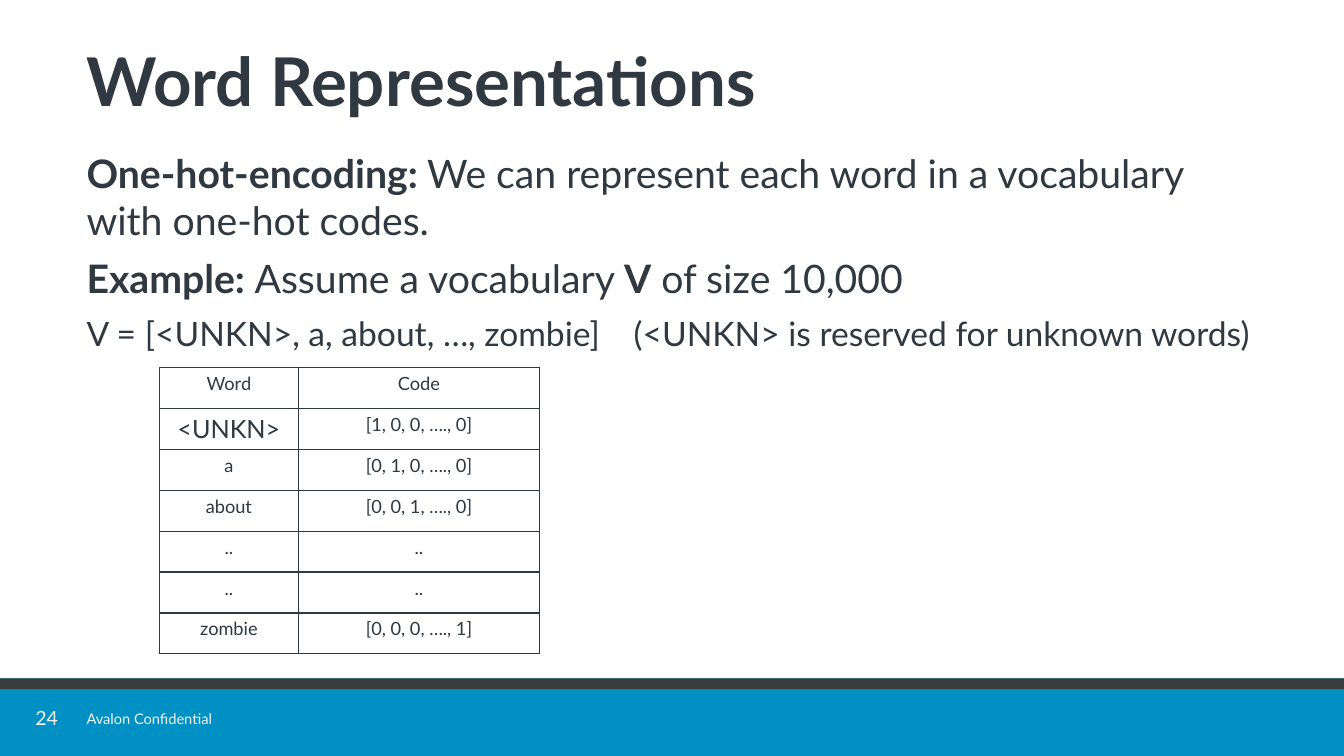
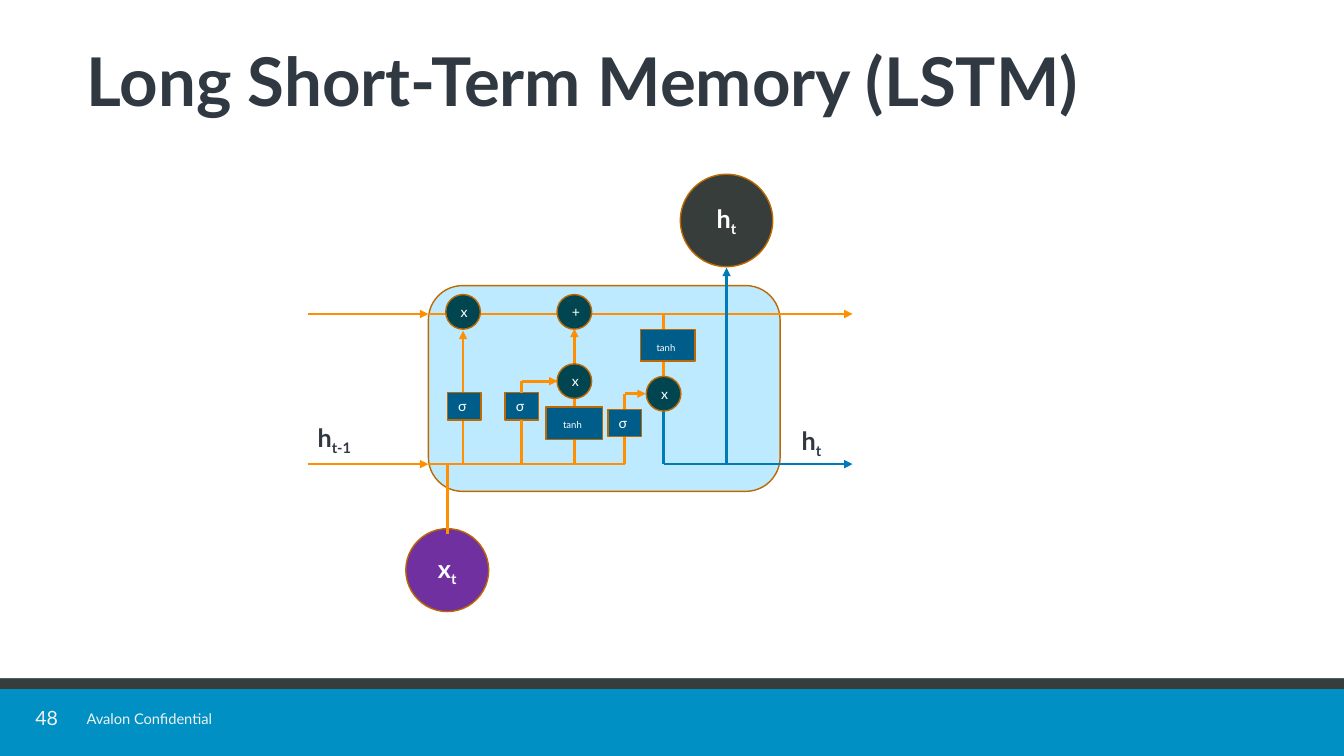
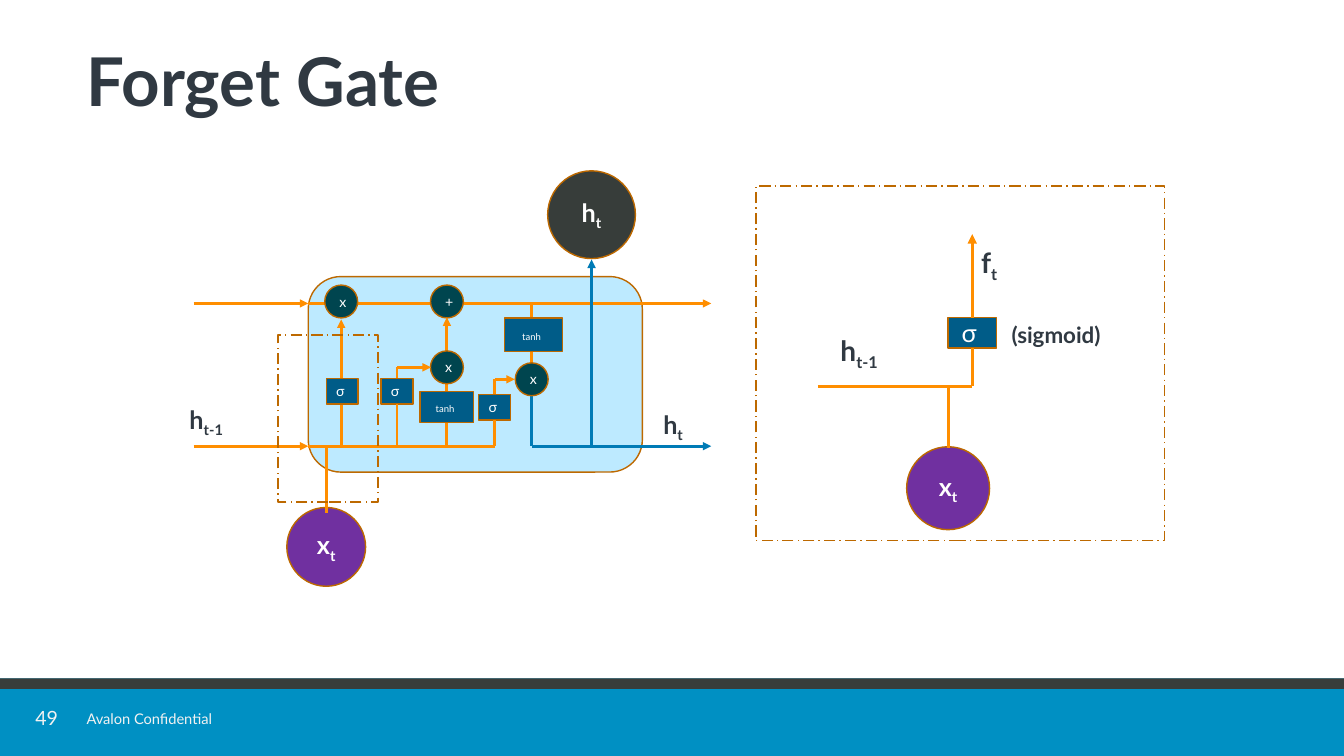
from lxml import etree
from pptx import Presentation
from pptx.dml.color import RGBColor
from pptx.enum.dml import MSO_LINE
from pptx.enum.shapes import MSO_CONNECTOR, MSO_SHAPE as SHAPE
from pptx.enum.text import MSO_ANCHOR as ANCHOR, PP_ALIGN as ALIGN
from pptx.oxml.ns import qn
from pptx.util import Emu, Pt

EMU_PER_PX = 9525
WIDTH, HEIGHT = 1280, 720
FONT = "Lato"
FOOTER = "Avalon Confidential"

INK = RGBColor(0x30, 0x39, 0x42)
WHITE = RGBColor(0xFF, 0xFF, 0xFF)
PALE = RGBColor(0xF2, 0xF2, 0xF2)
BAND_BLUE = RGBColor(0x00, 0x90, 0xC3)
BAND_DARK = RGBColor(0x38, 0x3D, 0x3B)
CELL_BLUE = RGBColor(0xBD, 0xEA, 0xFF)
OUTLINE = RGBColor(0xBD, 0x69, 0x00)
ORANGE = RGBColor(0xFF, 0x8E, 0x00)
BLUE = RGBColor(0x00, 0x7B, 0xB6)
GATE_BLUE = RGBColor(0x00, 0x5C, 0x88)
TEAL = RGBColor(0x00, 0x45, 0x4F)
PURPLE = RGBColor(0x70, 0x30, 0xA0)
CHARCOAL = RGBColor(0x37, 0x3D, 0x3A)


def px(value):
    return Emu(round(value * EMU_PER_PX))


def sub(base, index, size=18):
    """Runs for a bold letter with a subscript."""
    return [(base, {"size": size, "bold": True}),
            (index, {"size": size, "bold": True, "baseline": -25000})]


SIGMA = [("σ ", {"size": 10.1})]
TANH = [("tanh", {"size": 6.8}), (" ", {"size": 10.1})]


class Deck:
    def __init__(self):
        self.prs = Presentation()
        self.prs.slide_width, self.prs.slide_height = px(WIDTH), px(HEIGHT)
        self.frame()

    def frame(self, dx=0, dy=0, scale=1):
        """Shift and scale everything placed from here on."""
        self.dx, self.dy, self.scale = dx, dy, scale

    def point(self, x, y):
        return px(self.dx + self.scale * x), px(self.dy + self.scale * y)

    def box(self, x, y, w, h):
        return *self.point(x, y), px(self.scale * w), px(self.scale * h)

    def slide(self, title, number):
        self.frame()
        self.s = self.prs.slides.add_slide(self.prs.slide_layouts[6])
        self.shape(SHAPE.RECTANGLE, (0, 646, WIDTH, 74), BAND_BLUE, outline=None)
        self.shape(SHAPE.RECTANGLE, (0, 646, WIDTH, 10), BAND_DARK, outline=None)
        tf = self.text((32, 674, 25, 22), [[(str(number), {"size": 14})]], color=PALE,
                       anchor=ANCHOR.MIDDLE, align=ALIGN.CENTER, line_spacing=0.9)
        tf.margin_left = tf.margin_right = tf.margin_top = tf.margin_bottom = 0
        self.text((73, 671, 154, 27), [[(FOOTER, {"size": 10.5})]], color=PALE, wrap=False)
        self.text((73, 31, 1143, 104), [[(title, {"size": 48, "bold": True})]],
                  anchor=ANCHOR.MIDDLE, line_spacing=0.8)

    def runs(self, p, runs, color):
        for text, fmt in runs:
            r = p.add_run()
            r.text = text
            r.font.name = FONT
            r.font.color.rgb = color
            for key, value in fmt.items():
                if key == "baseline":
                    r._r.get_or_add_rPr().set(key, str(value))
                else:
                    setattr(r.font, key, Pt(value) if key == "size" else value)

    def text(self, box, paragraphs, color=INK, anchor=ANCHOR.TOP, wrap=True,
             gap=0, **fmt):
        tf = self.s.shapes.add_textbox(*self.box(*box)).text_frame
        tf.word_wrap, tf.vertical_anchor = wrap, anchor
        for i, runs in enumerate(paragraphs):
            p = tf.add_paragraph() if i else tf.paragraphs[0]
            if i:
                p.space_before = Pt(gap)
            for key, value in {"align": "alignment"}.items():
                if key in fmt:
                    setattr(p, value, fmt[key])
            if "line_spacing" in fmt:
                p.line_spacing = fmt["line_spacing"]
            self.runs(p, runs, color)
        return tf

    def shape(self, kind, box, fill=None, runs=(), outline=OUTLINE, dash=None):
        sp = self.s.shapes.add_shape(kind, *self.box(*box))
        sp.shadow.inherit = False
        if fill is None:
            sp.fill.background()
        else:
            sp.fill.solid()
            sp.fill.fore_color.rgb = fill
        if outline is None:
            sp.line.fill.background()
        else:
            sp.line.color.rgb = outline
            sp.line.width = Pt(1)
            if dash:
                sp.line.dash_style = dash
        tf = sp.text_frame
        tf.vertical_anchor = ANCHOR.MIDDLE
        tf.paragraphs[0].alignment = ALIGN.CENTER
        self.runs(tf.paragraphs[0], runs, WHITE)
        return sp

    def node(self, cx, cy, size, fill, runs):
        """Circle placed by its centre."""
        return self.shape(SHAPE.OVAL, (cx - size / 2, cy - size / 2, size, size), fill, runs)

    def operator(self, cx, cy, sign):
        return self.node(cx, cy, 33, TEAL, [(sign, {"size": 10.1})])

    def gate(self, cx, cy, runs=SIGMA, w=32, h=26):
        return self.shape(SHAPE.RECTANGLE, (cx - w / 2, cy - h / 2, w, h), GATE_BLUE, runs)

    def line(self, start, end, color=ORANGE, arrow=False, width=2):
        """Each end is a point (x, y) or a joint (shape, site)."""
        joints = [not isinstance(e[0], (int, float)) for e in (start, end)]
        places = [(0, 0) if j else self.point(*e) for j, e in zip(joints, (start, end))]
        c = self.s.shapes.add_connector(MSO_CONNECTOR.STRAIGHT, *places[0], *places[1])
        if joints[0]:
            c.begin_connect(*start)
        if joints[1]:
            c.end_connect(*end)
        c.line.color.rgb = color
        c.line.width = Pt(width)
        if arrow:
            etree.SubElement(c.line._get_or_add_ln(), qn("a:tailEnd"), type="triangle")
        etree.SubElement(c._element.spPr, qn("a:effectLst"))

    def table(self, x, y, col_widths, row_height, rows):
        """Ruled table; each cell is (text, size)."""
        t = self.s.shapes.add_table(len(rows), len(col_widths), *self.box(
            x, y, sum(col_widths), row_height * len(rows))).table
        t.first_row = t.horz_banding = False
        for column, width in zip(t.columns, col_widths):
            column.width = px(width)
        for i, row in enumerate(rows):
            t.rows[i].height = px(row_height)
            for j, (text, size) in enumerate(row):
                cell = t.cell(i, j)
                tc_pr = cell._tc.get_or_add_tcPr()
                for side in ("lnL", "lnR", "lnT", "lnB"):
                    ln = etree.SubElement(tc_pr, qn(f"a:{side}"), w=str(Pt(1)))
                    fill = etree.SubElement(ln, qn("a:solidFill"))
                    etree.SubElement(fill, qn("a:srgbClr"), val=str(INK))
                cell.fill.background()
                p = cell.text_frame.paragraphs[0]
                p.alignment = ALIGN.CENTER
                self.runs(p, [(text, {"size": size})], INK)

    def lstm(self):
        """LSTM cell without its output tanh and its input label."""
        top, bottom, left, right = 299, 442, 293, 812
        forget, update, candidate, output, hidden = 441, 497, 547, 632, 692
        output_gate = 595

        self.shape(SHAPE.ROUNDED_RECTANGLE, (408, 272, 335, 196), CELL_BLUE)
        for y in (top, bottom):
            self.line((left, y), (408, y), arrow=True)
        self.line((408, top), (right, top), arrow=True)
        self.node(426, 543, 79, PURPLE, sub("x", "t"))
        self.line((426, 509), (426, bottom))
        self.node(hidden, 210, 88, CHARCOAL, sub("h", "t"))
        self.line((408, bottom), (output_gate, bottom))

        self.operator(forget, 297, "x")
        self.operator(candidate, 297, "+")
        self.line((forget, bottom), (forget, 315), arrow=True)
        self.line((candidate, bottom), (candidate, 313), arrow=True)
        self.gate(forget + 1, 387)
        self.operator(candidate, 363, "x")
        self.gate(candidate, 403, TANH, 54, 31)

        for x, gate_y, turn_y, tip in ((update, 387, 363, 531), (output_gate, 403, 375, 615)):
            gate = self.gate(x, gate_y)
            self.line((x, bottom), (gate, 2))
            self.line((gate, 0), (x, turn_y))
            self.line((x, turn_y), (tip, turn_y), arrow=True)

        self.line((output, bottom), (right, bottom), BLUE, arrow=True)
        self.line((hidden, bottom), (hidden, 255), BLUE, arrow=True)
        self.line((output, bottom), (output, 391), BLUE)
        self.line((output, 361), (output, top))
        self.operator(output, 375, "x")
        self.text((754, 400, 62, 45), [sub("h", "t")])


def word_representations(deck):
    deck.slide("Word Representations", 24)
    bold, plain = {"size": 28, "bold": True}, {"size": 28}
    tf = deck.text((73, 137, 1142, 483), [
        [("One-hot-encoding: ", bold),
         ("We can represent each word in a vocabulary with one-hot codes.", plain)],
        [("Example: ", bold), ("Assume a vocabulary ", plain), ("V", bold),
         (" of size 10,000", plain)],
        [("V = [<UNKN>, a, about, …, zombie]\t(<UNKN> is reserved for unknown words)",
          {"size": 24})],
    ], gap=8)
    tabs = etree.SubElement(tf.paragraphs[2]._p.get_or_add_pPr(), qn("a:tabLst"))
    etree.SubElement(tabs, qn("a:tab"), pos=str(px(521)), algn="l")

    codes = [("Word", "Code"), ("<UNKN>", "[1, 0, 0, …., 0]"), ("a", "[0, 1, 0, …., 0]"),
             ("about", "[0, 0, 1, …., 0]"), ("..", ".."), ("..", ".."),
             ("zombie", "[0, 0, 0, …., 1]")]
    deck.table(152, 350, (132, 230), 39, [
        [(word, 18 if word == "<UNKN>" else 13), (code, 13)] for word, code in codes])


def long_short_term_memory(deck):
    deck.slide("Long Short-Term Memory (LSTM)", 48)
    deck.lstm()
    deck.gate(636, 329, TANH, 52, 30)
    deck.text((293, 397, 84, 45), [sub("h", "t-1")])


def forget_gate(deck):
    deck.slide("Forget Gate", 49)
    deck.frame(-94, 5, 0.95)
    deck.lstm()
    deck.frame()
    deck.gate(508, 319, TANH, 55, 32)
    deck.text((171, 380, 72, 47), [sub("h", "t-1")])

    for focus in ((265, 319, 95, 159), (720, 177, 389, 338)):
        deck.shape(SHAPE.RECTANGLE, focus, dash=MSO_LINE.LONG_DASH_DOT)
    sigmoid = deck.gate(926, 317, [("σ ", {"size": 18})], 46, 29)
    deck.node(903, 465, 79, PURPLE, sub("x", "t"))
    deck.line((779, 368), (926, 368))
    deck.line((903, 368), (903, 427), width=2.25)
    deck.line((sigmoid, 2), (926, 368), width=2.25)
    deck.line((sigmoid, 0), (926, 223), arrow=True, width=2.25)
    deck.text((791, 313, 96, 56), [sub("h", "t-1", 20)])
    deck.text((954, 301, 131, 36), [[("(sigmoid)", {"size": 16, "bold": True})]])
    deck.text((925, 229, 61, 56), [sub("f", "t", 20)])


def main():
    deck = Deck()
    for build in (word_representations, long_short_term_memory, forget_gate):
        build(deck)
    deck.prs.save("out.pptx")


if __name__ == "__main__":
    main()
